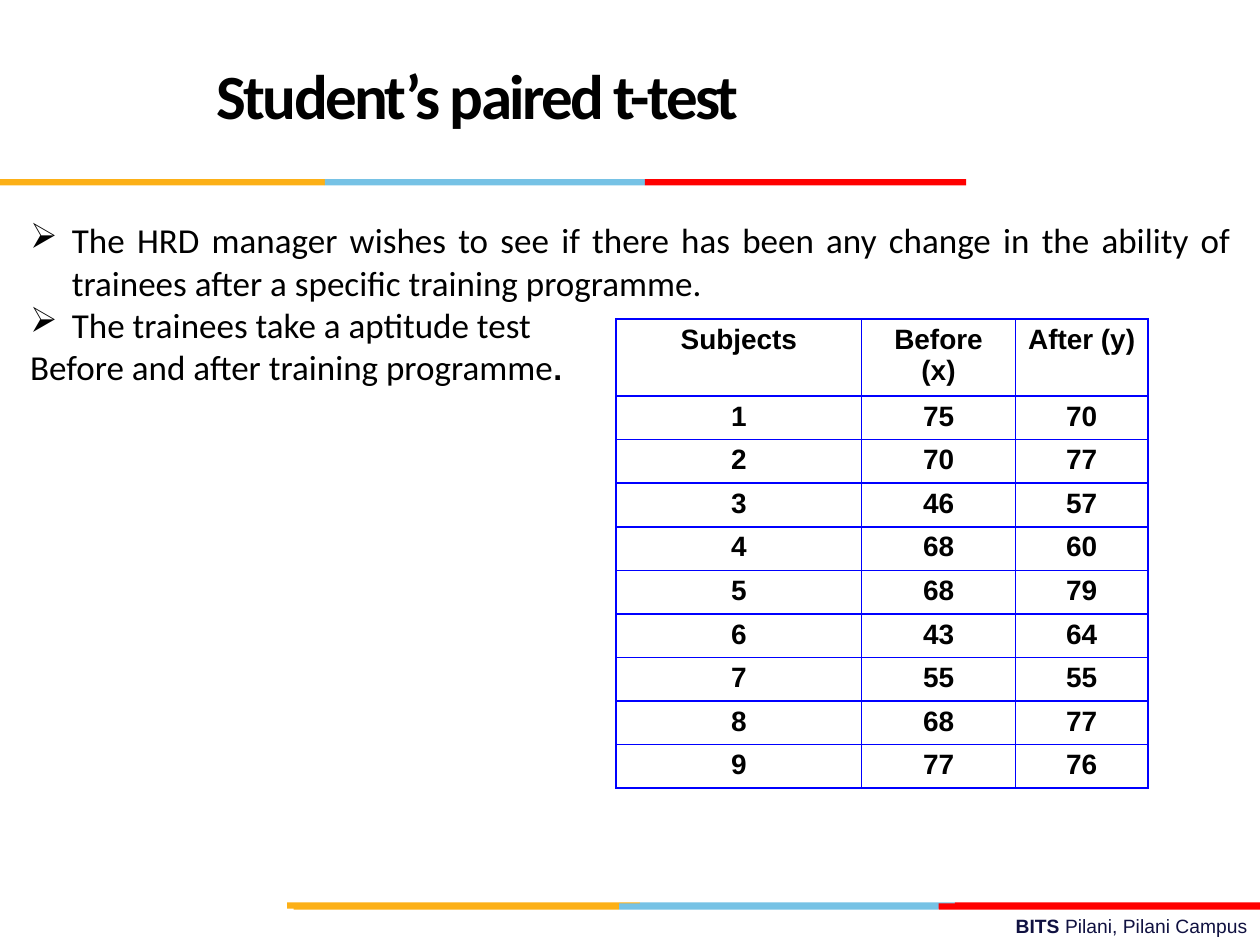
from dataclasses import dataclass
from itertools import pairwise

from lxml import etree
from pptx import Presentation
from pptx.dml.color import RGBColor
from pptx.enum.shapes import MSO_SHAPE
from pptx.enum.text import MSO_ANCHOR, PP_ALIGN
from pptx.oxml.ns import qn
from pptx.util import Cm, Pt

RECT = MSO_SHAPE.RECTANGLE
MIDDLE = MSO_ANCHOR.MIDDLE
LEFT, CENTER, RIGHT, JUSTIFY = (
    PP_ALIGN.LEFT, PP_ALIGN.CENTER, PP_ALIGN.RIGHT, PP_ALIGN.JUSTIFY)


@dataclass(frozen=True)
class Theme:
    head: str = "Calibri"
    sans: str = "Arial"
    ink: str = "000000"
    navy: str = "101141"
    grid: str = "0000FF"
    bands: tuple = ("FCB017", "76C2E5", "FF0000")
    title: float = 36
    body: float = 20
    stop: float = 18.2
    cell: float = 16
    foot: float = 11


class Deck:
    """Holds the theme and the current slide."""

    def __init__(self, theme, slide):
        self.theme = theme
        self.slide = slide

    def style(self, run, face, size, color, bold=False):
        font = run.font
        font.name, font.size, font.bold = face, Pt(size), bold
        font.color.rgb = RGBColor.from_string(color)

    def title(self, text, box):
        shape = self.slide.shapes.title
        shape.left, shape.top, shape.width, shape.height = map(Cm, box)
        frame = shape.text_frame
        frame.text = text
        frame.vertical_anchor = MIDDLE
        para = frame.paragraphs[0]
        para.alignment = CENTER
        para.line_spacing = Pt(self.theme.title)
        run = para.runs[0]
        self.style(run, self.theme.head, self.theme.title, self.theme.ink, True)
        run.font._element.set("spc", "-150")

    def strip(self, top, edges):
        """Draw one colour band between each pair of edges."""
        for (left, right), color in zip(pairwise(edges), self.theme.bands):
            band = self.slide.shapes.add_shape(
                RECT, Cm(left), Cm(top), Cm(right - left), Cm(0.13))
            band.shadow.inherit = False
            band.fill.solid()
            band.fill.fore_color.rgb = RGBColor.from_string(color)
            band.line.fill.background()

    def frame(self, box):
        frame = self.slide.shapes.add_textbox(*map(Cm, box)).text_frame
        frame.word_wrap = True
        return frame

    def bullet(self, para):
        props = para._p.get_or_add_pPr()
        props.set("marL", str(Cm(0.84)))
        props.set("indent", str(Cm(-0.84)))
        etree.SubElement(props, qn("a:buChar"), char="➢")

    def body(self, points, last, box):
        """Write bulleted points, then a plain line with a bold full stop."""
        look = self.theme
        frame = self.frame(box)
        frame.text = "\n".join([*points, last])
        for index, para in enumerate(frame.paragraphs):
            if index < len(points):
                self.bullet(para)
            para.alignment = JUSTIFY
            self.style(para.runs[0], look.head, look.body, look.ink)
        stop = para.add_run()
        stop.text = "."
        self.style(stop, look.sans, look.stop, look.ink, True)

    def footer(self, name, place, box):
        look = self.theme
        para = self.frame(box).paragraphs[0]
        para.alignment = RIGHT
        for text, bold in ((name, True), (place, False)):
            run = para.add_run()
            run.text = text
            self.style(run, look.sans, look.foot, look.navy, bold)

    def border(self, cell):
        props = cell._tc.get_or_add_tcPr()
        for side in ("lnL", "lnR", "lnT", "lnB"):
            line = etree.SubElement(props, qn(f"a:{side}"), w=str(Pt(1)))
            fill = etree.SubElement(line, qn("a:solidFill"))
            etree.SubElement(fill, qn("a:srgbClr"), val=self.theme.grid)

    def table(self, rows, left, top, widths, first, height):
        look = self.theme
        tall = first + height * (len(rows) - 1)
        table = self.slide.shapes.add_table(
            len(rows), len(widths), Cm(left), Cm(top),
            Cm(sum(widths)), Cm(tall)).table
        for col, width in zip(table.columns, widths):
            col.width = Cm(width)
        for index, (row, values) in enumerate(zip(table.rows, rows)):
            row.height = Cm(height if index else first)
            for cell, value in zip(row.cells, values):
                cell.text = str(value)
                cell.margin_top = cell.margin_bottom = Cm(0.1)
                self.border(cell)
                cell.fill.background()
                para = cell.text_frame.paragraphs[0]
                para.alignment = CENTER
                self.style(para.runs[0], look.sans, look.cell, look.ink, True)


def main():
    show = Presentation()
    show.slide_width, show.slide_height = Cm(25.4), Cm(19.05)
    deck = Deck(Theme(), show.slides.add_slide(show.slide_layouts[5]))

    deck.footer("BITS ", "Pilani, Pilani Campus", (9.09, 18.31, 16.31, 0.74))
    deck.strip(18.19, (5.79, 12.9, 19.25, 25.4))
    deck.strip(18.21, (5.92, 12.48, 18.92, 25.4))
    deck.strip(3.61, (0, 6.55, 13, 19.48))
    deck.title("Student’s paired t-test", (0.84, 0.43, 17.58, 3.18))
    deck.body(
        ["The HRD manager wishes to see if there has been any change in the "
         "ability of trainees after a specific training programme.",
         "The trainees take a aptitude test"],
        "Before and after training programme", (0.36, 4.29, 24.71, 10.95))

    before = (75, 70, 46, 68, 68, 43, 55, 68, 77)
    after = (70, 77, 57, 60, 79, 64, 55, 77, 76)
    scores = zip(range(1, 10), before, after)
    deck.table([("Subjects", "Before (x)", "After (y)"), *scores],
               12.42, 6.43, (4.95, 3.1, 2.67), 1.43, 0.85)
    show.save("out.pptx")


if __name__ == "__main__":
    main()
